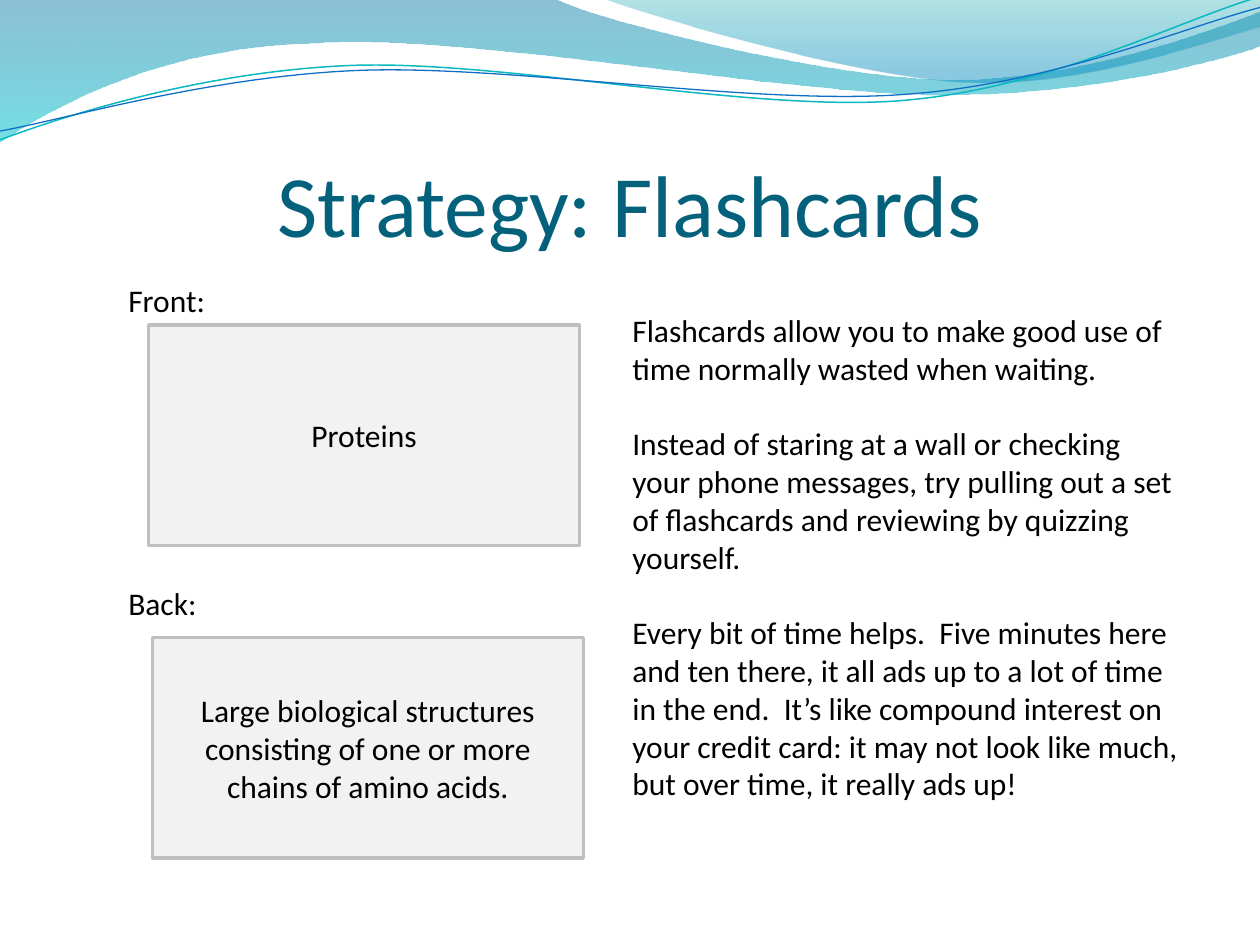
from math import cos, radians, sin

from lxml.etree import SubElement
from pptx import Presentation
from pptx.dml.color import RGBColor
from pptx.enum.shapes import MSO_SHAPE
from pptx.enum.text import MSO_ANCHOR, PP_ALIGN
from pptx.oxml.ns import qn
from pptx.util import Inches, Pt

THEME = {
    "font": "Calibri",
    "title": Pt(50), "body": Pt(18),
    "head": RGBColor.from_string("04617B"),
    "ink": RGBColor.from_string("000000"),
    "card": RGBColor.from_string("F2F2F2"),
    "edge": RGBColor.from_string("BFBFBF"),
    "top": [(0, "0074A1", 45), (1, "00C6CF", 55)],
    "side": [(0, "00A1A9", 30), (0.8, "008BBF", 45)],
    "teal": RGBColor.from_string("0AB8BF"),
    "blue": RGBColor.from_string("0F6FC6"),
}


def trace(shapes, start, parts, close, mid=(0, 0), tilt=0):
    points = [start] + [p for part in parts for p in zip(part[::2], part[1::2])]
    c, s = cos(radians(tilt)), sin(radians(tilt))
    spots = []
    for x, y in points:
        dx, dy = x - mid[0], y - mid[1]
        spots.append((Inches(mid[0] + dx * c - dy * s), Inches(mid[1] + dx * s + dy * c)))
    pen = shapes.build_freeform(*spots[0])
    pen.add_line_segments(spots[1:], close=close)
    shape = pen.convert_to_shape()
    shape.shadow.inherit = False
    shape.rotation = -tilt % 360
    lines = iter(list(shape._element.iter(qn("a:lnTo"))))
    for part in parts:
        first = next(lines)
        if len(part) == 6:
            bend = first.getparent().makeelement(qn("a:cubicBezTo"), {})
            first.addprevious(bend)
            for line in (first, next(lines), next(lines)):
                bend.append(line[0])
                line.getparent().remove(line)
    return shape


def write(frame, texts, size="body", color="ink", align=PP_ALIGN.LEFT, gap=0, **form):
    for name, value in {"word_wrap": True, **form}.items():
        setattr(frame, name, value)
    for i, text in enumerate(texts):
        para = frame.paragraphs[0] if i == 0 else frame.add_paragraph()
        para.text = text
        para.alignment = align
        if i:
            para.space_before = Pt(gap)
        look = {"name": THEME["font"], "size": THEME[size]}
        for name, value in look.items():
            setattr(para.font, name, value)
        para.font.color.rgb = THEME[color]


deck = Presentation()
deck.slide_width, deck.slide_height = Inches(10), Inches(7.5)
shapes = deck.slides.add_slide(deck.slide_layouts[6]).shapes

waves = [
    ((0, 0), [(4.4, -0.01), (4.76, 0.17, 6.64, 0.63, 7.58, 0.63),
              (8.53, 0.63, 9.58, 0.26, 10, 0.09), (10.01, 0.36),
              (9.83, 0.44, 8.7, 0.76, 7.46, 0.75), (6.22, 0.75, 3.82, 0.28, 2.57, 0.34),
              (1.29, 0.36, 0.46, 0.83, -0.01, 1.13), (0, 0)], "top"),
    ((4.79, -0.01), [(5.09, 0.11, 6.82, 0.62, 7.69, 0.65),
                     (8.56, 0.69, 9.61, 0.32, 10, 0.21), (10, 0), (4.79, -0.01)], "side"),
]
for start, parts, key in waves:
    wave = trace(shapes, start, parts, True)
    wave.fill.gradient()
    wave.fill.gradient_angle = 270
    for stop, (place, color, _) in zip(wave.fill.gradient_stops, THEME[key]):
        stop.position = place
        stop.color.rgb = RGBColor.from_string(color)
    for node, (_, _, alpha) in zip(wave._element.iter(qn("a:srgbClr")), THEME[key]):
        SubElement(node, qn("a:alpha")).set("val", str(alpha * 1000))
    wave.line.fill.background()

curves = [
    ((0, 1.11), [(0.48, 0.93, 1.58, 0.57, 2.77, 0.52), (3.95, 0.47, 5.93, 0.89, 7.13, 0.8),
                 (8.33, 0.71, 9.38, 0.15, 9.98, -0.02)], (4.99, 0.58), "teal", 0.85),
    ((0, 1.04), [(0.47, 0.96, 1.64, 0.61, 2.83, 0.56), (4.03, 0.51, 5.97, 0.84, 7.17, 0.75),
                 (8.36, 0.67, 9.41, 0.21, 10, 0.06)], (5, 0.59), "blue", 0.75),
]
for start, parts, mid, key, width in curves:
    curve = trace(shapes, start, parts, False, mid, 2.7)
    curve.fill.background()
    curve.line.color.rgb = THEME[key]
    curve.line.width = Pt(width)

advice = [
    "Flashcards allow you to make good use of time normally wasted when waiting.",
    "Instead of staring at a wall or checking your phone messages, try pulling out a set "
    "of flashcards and reviewing by quizzing yourself.",
    "Every bit of time helps.  Five minutes here and ten there, it all ads up to a lot of "
    "time in the end.  It’s like compound interest on your credit card: it may not look "
    "like much, but over time, it really ads up!",
]
boxes = [
    ((0.5, 0.77, 9, 1.25), ["Strategy: Flashcards"],
     {"size": "title", "color": "head", "align": PP_ALIGN.CENTER,
      "vertical_anchor": MSO_ANCHOR.BOTTOM, "margin_left": 0, "margin_right": 0,
      "margin_bottom": 0}),
    ((4.92, 2.42, 4.58, 4.42), advice, {"gap": 21.5}),
    ((0.92, 2.18, 4, 4.83), ["Front:", "Back:"], {"gap": 151.5}),
]
for area, texts, form in boxes:
    box = shapes.add_textbox(*map(Inches, area))
    write(box.text_frame, texts, **form)

cards = [
    (1.18, 2.58, "Proteins"),
    (1.21, 5.06, "Large biological structures consisting of one or more chains of amino acids."),
]
for left, top, text in cards:
    card = shapes.add_shape(MSO_SHAPE.RECTANGLE, *map(Inches, (left, top, 3.42, 1.75)))
    card.shadow.inherit = False
    card.fill.solid()
    card.fill.fore_color.rgb = THEME["card"]
    card.line.color.rgb = THEME["edge"]
    card.line.width = Pt(2)
    write(card.text_frame, [text], align=PP_ALIGN.CENTER, vertical_anchor=MSO_ANCHOR.MIDDLE)

deck.save("out.pptx")
